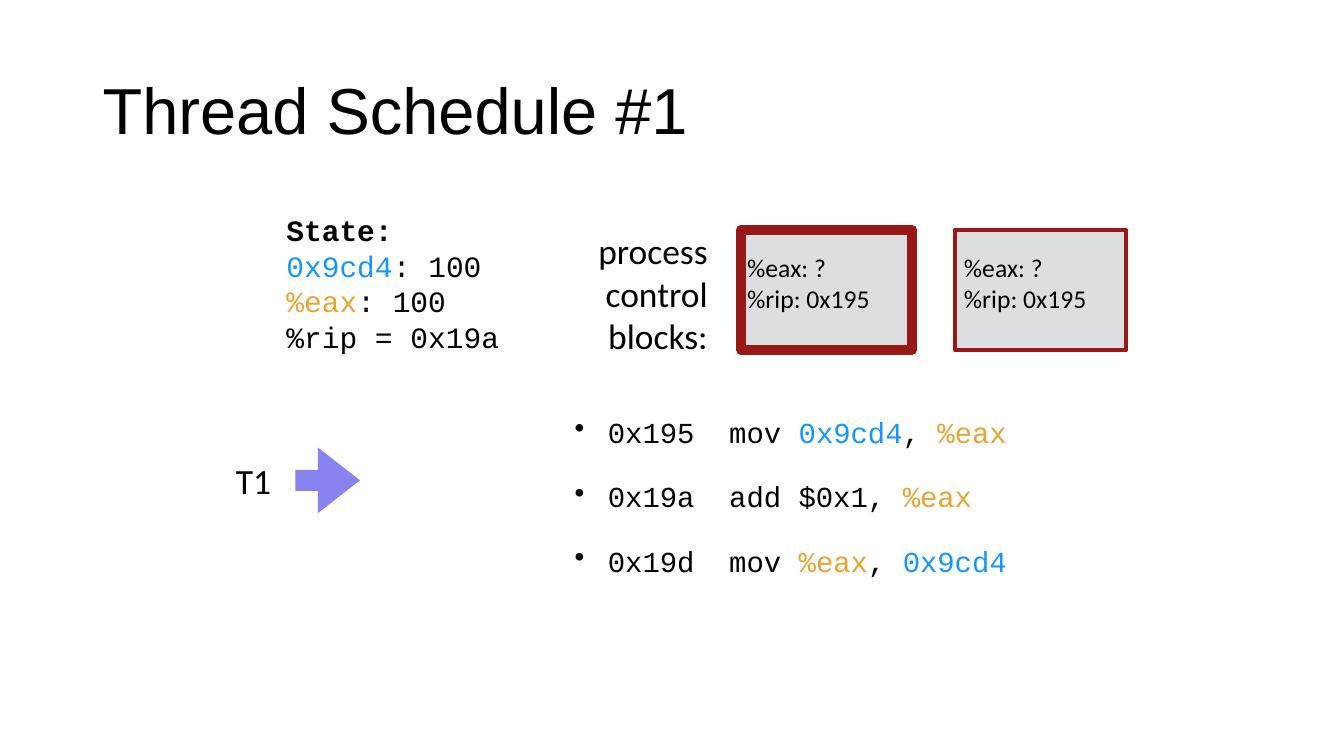
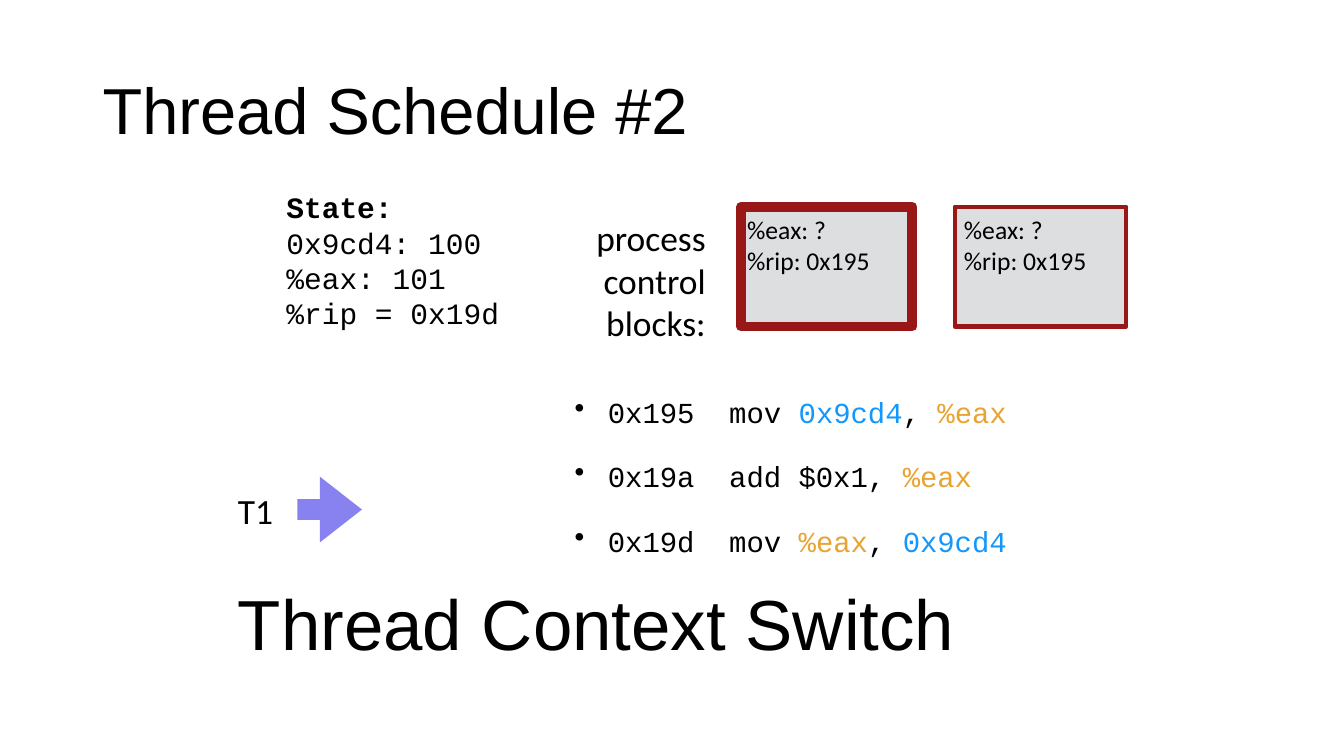
from dataclasses import dataclass

from lxml import etree
from pptx import Presentation
from pptx.dml.color import RGBColor
from pptx.enum.shapes import MSO_SHAPE
from pptx.enum.text import MSO_ANCHOR, MSO_AUTO_SIZE, PP_ALIGN
from pptx.oxml.ns import qn
from pptx.util import Inches, Pt

RECTANGLE = MSO_SHAPE.RECTANGLE
RIGHT_ARROW = MSO_SHAPE.RIGHT_ARROW
TOP, MIDDLE = MSO_ANCHOR.TOP, MSO_ANCHOR.MIDDLE
LEFT, RIGHT = PP_ALIGN.LEFT, PP_ALIGN.RIGHT
FIT_SHAPE, NO_FIT = MSO_AUTO_SIZE.SHAPE_TO_FIT_TEXT, MSO_AUTO_SIZE.NONE


@dataclass(frozen=True)
class Style:
    font: str
    size: float


@dataclass(frozen=True)
class Theme:
    # Colours
    ink: str = "000000"
    memory: str = "1497FC"
    register: str = "E8A433"
    block_fill: str = "DCDEE0"
    block_line: str = "971817"
    arrow: str = "8881F0"
    # Type
    title: Style = Style("Arial", 46.4)
    banner: Style = Style("Arial", 50.6)
    label: Style = Style("Calibri", 25.3)
    saved: Style = Style("Calibri", 18.3)
    state: Style = Style("Courier New", 21.1)
    code: Style = Style("Courier New", 20.7)
    code_gap: float = 21.3


THEME = Theme()

ADDRESS = ("0x9cd4", THEME.memory)
EAX = ("%eax", THEME.register)

# Each line is a list of runs: plain text or (text, colour)
INSTRUCTIONS = [
    ["0x195  mov ", ADDRESS, ", ", EAX],
    ["0x19a  add $0x1, ", EAX],
    ["0x19d  mov ", EAX, ", ", ADDRESS],
]
CONTROL_BLOCKS = [(7.35, 7, 7.41), (9.47, 3, 9.56)]  # left, line width, text left
SAVED_REGISTERS = [["%eax: ?"], ["%rip: 0x195"]]


@dataclass(frozen=True)
class Schedule:
    title: str
    state: list
    blocks_top: float
    saved_top: float
    blocks_label: tuple
    thread: tuple
    code_top: float
    banner: str = ""


SCHEDULES = [
    Schedule(
        title="Thread Schedule #1",
        state=[[ADDRESS, ": 100"], [EAX, ": 100"], ["%rip = 0x19a"]],
        blocks_top=2.28, saved_top=2.5, blocks_label=(5.88, 2.23),
        thread=(2.3, 4.52), code_top=4.07,
    ),
    Schedule(
        title="Thread Schedule #2",
        state=[["0x9cd4: 100"], ["%eax: 101"], ["%rip = 0x19d"]],
        blocks_top=2.05, saved_top=2.12, blocks_label=(5.86, 2.1),
        thread=(2.32, 4.81), code_top=3.87,
        banner="Thread Context Switch",
    ),
]


def add_runs(paragraph, runs, style, bold=False):
    for item in runs:
        text, color = (item, THEME.ink) if isinstance(item, str) else item
        run = paragraph.add_run()
        run.text = text
        run.font.name = style.font
        run.font.size = Pt(style.size)
        run.font.bold = bold
        run.font.color.rgb = RGBColor.from_string(color)


def add_text(slide, box, lines, style, anchor=MIDDLE, align=LEFT,
             insets=(0.04, 0.04), wrap=False, bold_first=False):
    frame = slide.shapes.add_textbox(*map(Inches, box)).text_frame
    frame.word_wrap = wrap
    frame.auto_size = NO_FIT if wrap else FIT_SHAPE
    frame.vertical_anchor = anchor
    frame.margin_left = frame.margin_right = Inches(insets[0])
    frame.margin_top = frame.margin_bottom = Inches(insets[1])
    for index, runs in enumerate(lines):
        paragraph = frame.add_paragraph() if index else frame.paragraphs[0]
        paragraph.alignment = align
        add_runs(paragraph, runs, style, bold_first and index == 0)
    return frame


def add_filled(slide, preset, box, fill, line=None, line_width=0):
    shape = slide.shapes.add_shape(preset, *map(Inches, box))
    shape.shadow.inherit = False
    shape.fill.solid()
    shape.fill.fore_color.rgb = RGBColor.from_string(fill)
    if line:
        shape.line.color.rgb = RGBColor.from_string(line)
        shape.line.width = Pt(line_width)
    else:
        shape.line.fill.background()
    return shape


def add_title(slide, text):
    frame = add_text(slide, (0.92, 0.4, 11.5, 1.45), [[text]], THEME.title,
                     insets=(0.1, 0.05), wrap=True)
    frame.paragraphs[0].line_spacing = 0.9


def add_control_blocks(slide, schedule):
    add_text(slide, (*schedule.blocks_label, 1.18, 1.36),
             [["process"], ["control"], ["blocks:"]], THEME.label, align=RIGHT)
    for left, line_width, text_left in CONTROL_BLOCKS:
        add_filled(slide, RECTANGLE, (left, schedule.blocks_top, 1.7, 1.19),
                   THEME.block_fill, THEME.block_line, line_width)
        add_text(slide, (text_left, schedule.saved_top, 1.22, 0.62),
                 SAVED_REGISTERS, THEME.saved, anchor=TOP, insets=(0, 0))


def add_thread_pointer(slide, left, top):
    add_text(slide, (left, top, 0.43, 0.5), [["T1"]], THEME.label)
    arrow = add_filled(slide, RIGHT_ARROW, (left + 0.63, top - 0.08, 0.64, 0.65),
                       THEME.arrow)
    arrow.adjustments[0] = 0.32
    arrow.adjustments[1] = 0.65


def add_code(slide, top):
    frame = add_text(slide, (5.63, top, 6.04, 1.51), INSTRUCTIONS, THEME.code,
                     anchor=TOP, insets=(0.07, 0.04), wrap=True)
    for index, paragraph in enumerate(frame.paragraphs):
        if index:
            paragraph.space_before = Pt(THEME.code_gap)
        # Hanging bullet
        properties = paragraph._p.get_or_add_pPr()
        properties.set("marL", str(Inches(0.33)))
        properties.set("indent", str(-Inches(0.33)))
        etree.SubElement(properties, qn("a:buChar")).set("char", "•")


def add_schedule(prs, schedule):
    slide = prs.slides.add_slide(prs.slide_layouts[6])
    add_title(slide, schedule.title)
    # Machine state beside the saved registers
    add_text(slide, (2.8, schedule.blocks_top - 0.22, 2.22, 1.5),
             [["State:"], *schedule.state], THEME.state, bold_first=True)
    add_control_blocks(slide, schedule)
    # Running thread and its code
    add_thread_pointer(slide, *schedule.thread)
    add_code(slide, schedule.code_top)
    if schedule.banner:
        add_text(slide, (2.32, 5.71, 7.26, 0.93), [[schedule.banner]], THEME.banner)


def main():
    prs = Presentation()
    prs.slide_width, prs.slide_height = Inches(13.33), Inches(7.5)
    for schedule in SCHEDULES:
        add_schedule(prs, schedule)
    prs.save("out.pptx")


if __name__ == "__main__":
    main()
